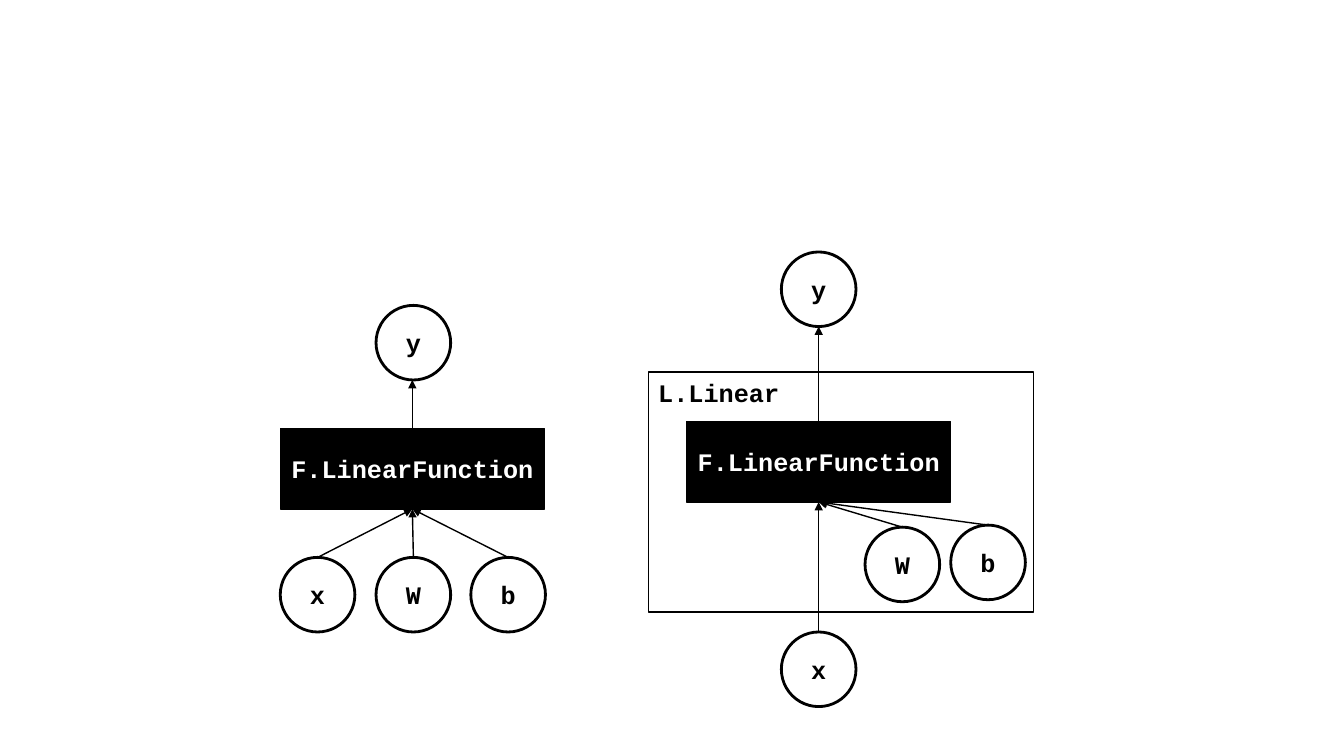
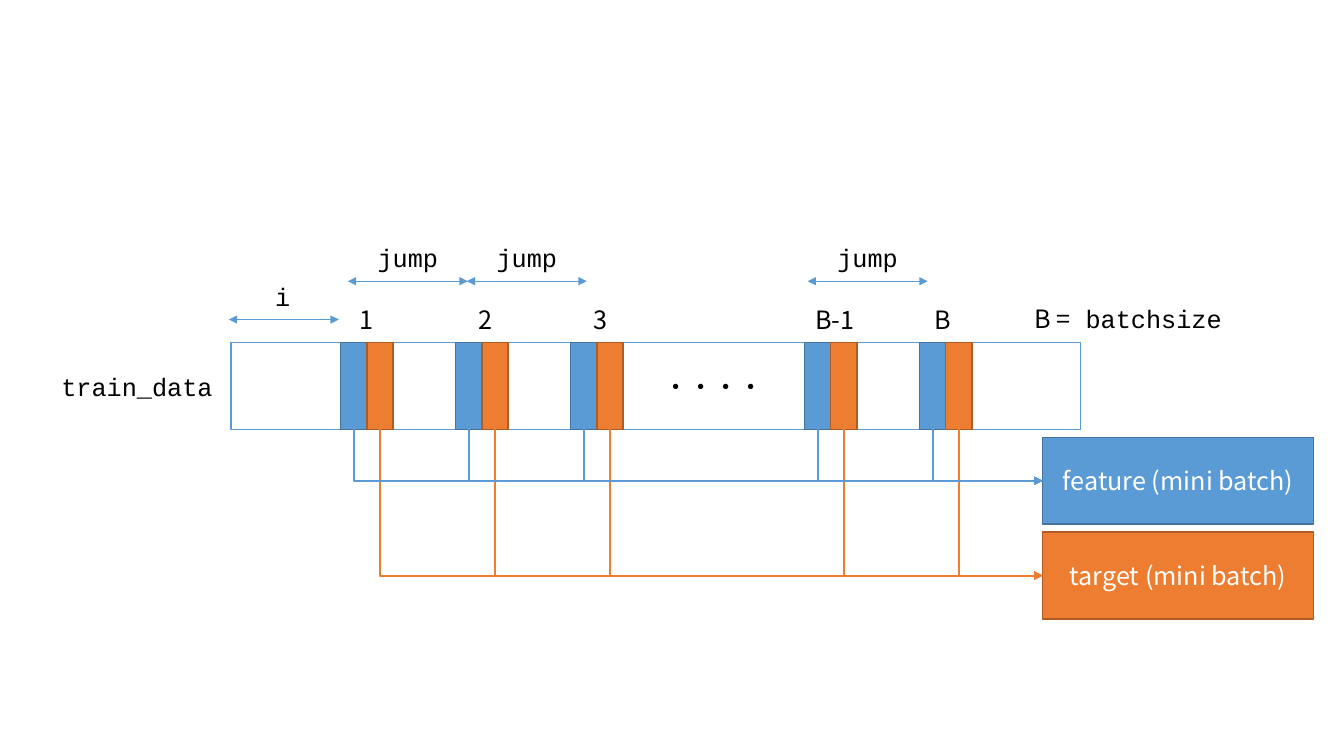
"""Build two slides: linear function graphs and mini batch sampling."""
from dataclasses import dataclass

from lxml import etree
from pptx import Presentation
from pptx import util as u
from pptx.dml.color import RGBColor
from pptx.enum import shapes, text
from pptx.oxml.ns import qn

MONO = "Courier New"
SANS = "Noto Sans CJK JP"
BLACK = "000000"
WHITE = "FFFFFF"
BLUE = "5B9BD5"
TEXT_SIZE = 18
TEXT_HEIGHT = 0.4

NODE_SIZE = 0.74
FUNCTION_WIDTH, FUNCTION_HEIGHT = 2.62, 0.8

DATA_TOP, DATA_HEIGHT = 3.4, 0.86
STRIP_WIDTH = 0.26
BATCH_LEFT, BATCH_WIDTH = 10.34, 2.69
JUMP_LENGTH = 1.19


@dataclass(frozen=True)
class Node:
    """A named variable circle."""
    name: str
    left: float
    top: float


@dataclass(frozen=True)
class Graph:
    """A function box with its output and input nodes."""
    left: float
    top: float
    output: Node
    inputs: tuple[Node, ...]


@dataclass(frozen=True)
class Sample:
    """A labelled pair of strips in the training data."""
    label: str
    left: float
    label_left: float
    label_width: float


@dataclass(frozen=True)
class Channel:
    """A mini batch gathered from one strip of every sample."""
    label: str
    offset: float
    top: float
    fill: str
    outline: str


GRAPHS = (
    Graph(2.78, 4.25, Node("y", 3.73, 3.03),
          (Node("x", 2.78, 5.53), Node("W", 3.73, 5.53), Node("b", 4.67, 5.53))),
    Graph(6.81, 4.18, Node("y", 7.75, 2.5),
          (Node("x", 7.75, 6.27), Node("W", 8.58, 5.23), Node("b", 9.43, 5.21))),
)
SAMPLES = (
    Sample("1", 3.38, 3.47, 0.34),
    Sample("2", 4.52, 4.65, 0.34),
    Sample("3", 5.66, 5.79, 0.34),
    Sample("B-1", 7.98, 7.97, 0.62),
    Sample("B", 9.12, 9.17, 0.37),
)
CHANNELS = (
    Channel("feature (mini batch)", 0, 4.34, BLUE, "43739E"),
    Channel("target (mini batch)", STRIP_WIDTH, 5.28, "ED7D31", "AF5C24"),
)
JUMP_STARTS = (3.45, 4.63, 8.01)


def color(value: str) -> RGBColor:
    """Turn a hex string into a colour."""
    return RGBColor.from_string(value)


def style_span(span, font: str, ink: str, bold: bool = False) -> None:
    """Format one run of text."""
    span.font.size = u.Pt(TEXT_SIZE)
    span.font.bold = bold
    span.font.color.rgb = color(ink)
    span.font.name = font
    etree.SubElement(span.font._element, qn("a:ea"), typeface=font)


def add_box(page, left: float, top: float, width: float, height: float, fill: str,
            outline: str, weight: float = 1, kind=shapes.MSO_SHAPE.RECTANGLE):
    """Draw a filled and outlined shape."""
    box = page.shapes.add_shape(kind, u.Inches(left), u.Inches(top),
                                u.Inches(width), u.Inches(height))
    box.shadow.inherit = False
    box.fill.solid()
    box.fill.fore_color.rgb = color(fill)
    box.line.color.rgb = color(outline)
    box.line.width = u.Pt(weight)
    return box


def write(box, words: str, font: str, ink: str, bold: bool = False,
          align=text.PP_ALIGN.CENTER, anchor=text.MSO_ANCHOR.MIDDLE) -> None:
    """Put formatted text inside a shape."""
    box.text_frame.word_wrap = True
    box.text_frame.vertical_anchor = anchor
    para = box.text_frame.paragraphs[0]
    para.text = words
    para.alignment = align
    style_span(para.runs[0], font, ink, bold)


def add_label(page, left: float, top: float, width: float, *parts: tuple[str, str],
              align=text.PP_ALIGN.CENTER) -> None:
    """Add a one-line label made of (words, font) parts."""
    box = page.shapes.add_textbox(u.Inches(left), u.Inches(top),
                                  u.Inches(width), u.Inches(TEXT_HEIGHT))
    box.text_frame.word_wrap = False
    box.text_frame.auto_size = text.MSO_AUTO_SIZE.SHAPE_TO_FIT_TEXT
    para = box.text_frame.paragraphs[0]
    para.alignment = align
    for words, font in parts:
        span = para.add_run()
        span.text = words
        style_span(span, font, BLACK)


def add_line(page, start: tuple[float, float], end: tuple[float, float], ink: str,
             weight: float, both_ends: bool = False,
             kind=shapes.MSO_CONNECTOR.STRAIGHT):
    """Draw a connector with triangle arrowheads."""
    line = page.shapes.add_connector(kind, *(u.Inches(v) for v in (*start, *end)))
    line.line.color.rgb = color(ink)
    line.line.width = u.Pt(weight)
    properties = line.element.spPr
    outline = properties.find(qn("a:ln"))
    for tag in ("a:headEnd", "a:tailEnd") if both_ends else ("a:tailEnd",):
        etree.SubElement(outline, qn(tag), type="triangle")
    etree.SubElement(properties, qn("a:effectLst"))
    return line


def add_elbow(page, strip, batch, ink: str) -> None:
    """Lead from the bottom of a strip down and right to a batch box."""
    elbow = add_line(page, (0, 0), (0, 0), ink, 1.5, kind=shapes.MSO_CONNECTOR.ELBOW)
    elbow.begin_connect(strip, 2)
    elbow.end_connect(batch, 1)
    across, down = elbow.width, elbow.height
    elbow.left += (across - down) // 2
    elbow.top += (down - across) // 2
    elbow.width, elbow.height = down, across
    properties = elbow.element.spPr
    frame = properties.find(qn("a:xfrm"))
    frame.set("rot", "16200000")
    frame.set("flipH", "1")
    properties.find(qn("a:prstGeom")).set("prst", "bentConnector2")


def add_node(page, node: Node):
    """Draw a variable circle."""
    circle = add_box(page, node.left, node.top, NODE_SIZE, NODE_SIZE, WHITE, BLACK, 2,
                     shapes.MSO_SHAPE.OVAL)
    write(circle, node.name, MONO, BLACK, True)
    return circle


def add_graph(page, graph: Graph) -> None:
    """Draw a function box joined to its nodes."""
    function = add_box(page, graph.left, graph.top, FUNCTION_WIDTH, FUNCTION_HEIGHT,
                       BLACK, BLACK)
    write(function, "F.LinearFunction", MONO, WHITE, True)
    add_node(page, graph.output)
    middle = graph.left + FUNCTION_WIDTH / 2
    arrow = add_line(page, (middle, graph.top),
                     (middle, graph.output.top + NODE_SIZE), BLACK, 1)
    arrow.begin_connect(function, 0)
    for node in graph.inputs:
        circle = add_node(page, node)
        arrow = add_line(page, (node.left + NODE_SIZE / 2, node.top),
                         (middle, graph.top + FUNCTION_HEIGHT), BLACK, 1)
        arrow.begin_connect(circle, 0)
        arrow.end_connect(function, 2)


def build_graphs(page) -> None:
    """Compare the linear function with the linear link."""
    link = add_box(page, 6.43, 3.69, 3.82, 2.38, WHITE, BLACK)
    write(link, "L.Linear", MONO, BLACK, True, text.PP_ALIGN.LEFT, text.MSO_ANCHOR.TOP)
    for graph in GRAPHS:
        add_graph(page, graph)


def add_span_arrow(page, label: str, start: float, end: float, top: float,
                   label_left: float, label_top: float, label_width: float) -> None:
    """Draw a labelled two-headed distance arrow."""
    add_line(page, (start, top), (end, top), BLUE, 0.5, both_ends=True)
    add_label(page, label_left, label_top, label_width, (label, MONO))


def build_sampling(page) -> None:
    """Show how mini batches are gathered from the training data."""
    add_box(page, 2.29, DATA_TOP, 8.43, DATA_HEIGHT, WHITE, BLUE)
    add_label(page, 0.51, 3.63, 1.71, ("train_data", MONO), align=text.PP_ALIGN.LEFT)

    gathered = []
    for channel in CHANNELS:
        strips = [add_box(page, sample.left + channel.offset, DATA_TOP, STRIP_WIDTH,
                          DATA_HEIGHT, channel.fill, channel.outline)
                  for sample in SAMPLES]
        batch = add_box(page, BATCH_LEFT, channel.top, BATCH_WIDTH, DATA_HEIGHT,
                        channel.fill, channel.outline)
        write(batch, channel.label, SANS, WHITE)
        gathered.append((channel, strips, batch))
    for channel, strips, batch in reversed(gathered):
        for strip in strips:
            add_elbow(page, strip, batch, channel.fill)

    for sample in SAMPLES:
        add_label(page, sample.label_left, 2.97, sample.label_width, (sample.label, SANS))
    add_span_arrow(page, "i", 2.27, 3.36, 3.17, 2.63, 2.74, 0.35)
    for start in JUMP_STARTS:
        add_span_arrow(page, "jump", start, start + JUMP_LENGTH, 2.79,
                       start + 0.19, 2.35, 0.81)
    add_label(page, 6.48, 3.63, 1.21, ("・・・・", SANS), align=text.PP_ALIGN.LEFT)
    add_label(page, 10.16, 2.96, 2.13, ("B =", SANS), (" batchsize", MONO),
              align=text.PP_ALIGN.LEFT)


def main() -> None:
    """Build and save the deck."""
    deck = Presentation()
    deck.slide_width, deck.slide_height = u.Inches(13.33), u.Inches(7.5)
    for build in (build_graphs, build_sampling):
        build(deck.slides.add_slide(deck.slide_layouts[6]))
    deck.save("out.pptx")


if __name__ == "__main__":
    main()
